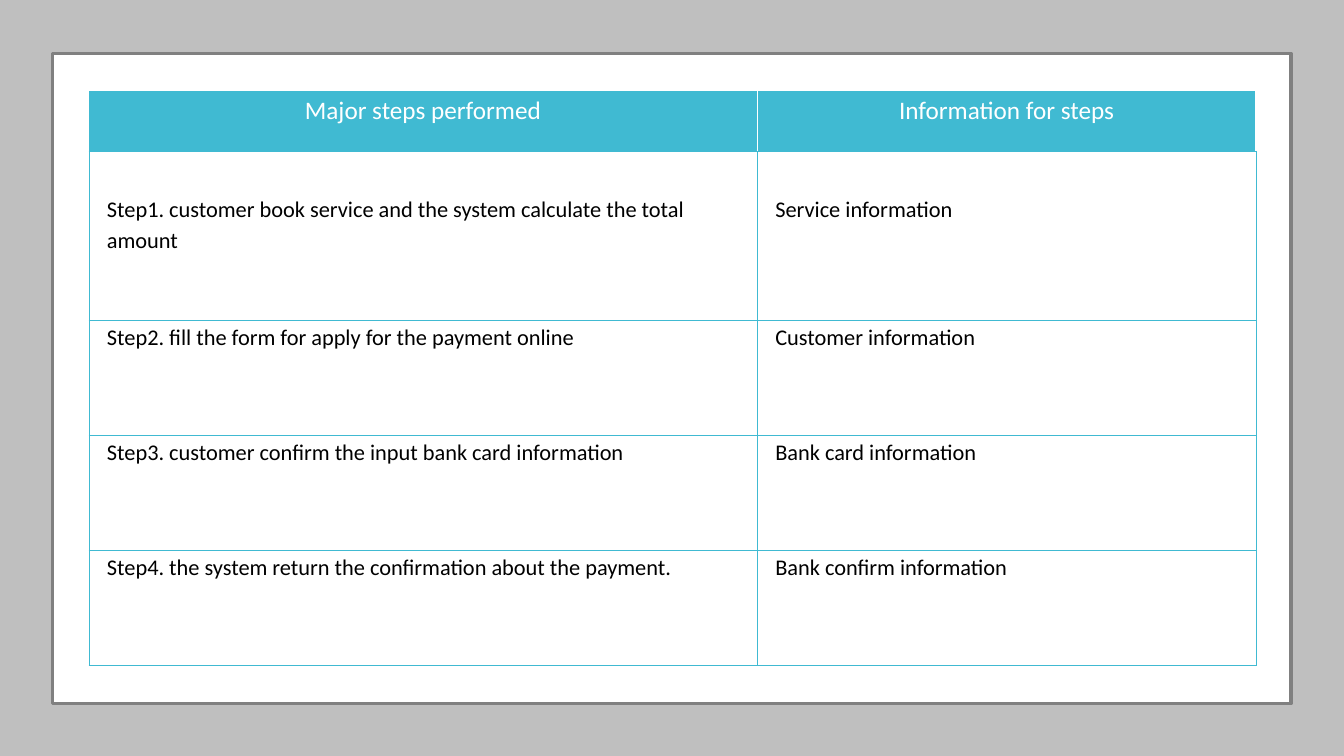
from dataclasses import dataclass

from lxml import etree
from pptx import Presentation
from pptx import util as u
from pptx.dml.color import RGBColor
from pptx.enum import shapes, text
from pptx.oxml import ns

COLOURS = {
    "backdrop": "BFBFBF",
    "frame": "808080",
    "accent": "40BAD2",
    "white": "FFFFFF",
    "ink": "000000",
}
FONT = "Calibri"
COLUMN_WIDTHS = (477.4, 356.4)


@dataclass
class Panel:
    left: float
    top: float
    width: float
    height: float
    fill: str
    line: str | None = None


@dataclass
class StepRow:
    cells: tuple[str, str]
    height: float = 82.2
    top_inset: float = 0
    header: bool = False


PANELS = [
    Panel(0, 0, 960, 540, "backdrop"),
    Panel(37.4, 38.2, 884.9, 464.4, "white", "frame"),
]

ROWS = [
    StepRow(("Major steps performed", "Information for steps"), 43.2, header=True),
    StepRow(("Step1. customer book service and the system calculate the total amount",
             "Service information"), 121, top_inset=29.3),
    StepRow(("Step2. fill the form for apply for the payment online",
             "Customer information")),
    StepRow(("Step3. customer confirm the input bank card information",
             "Bank card information")),
    StepRow(("Step4. the system return the confirmation about the payment.",
             "Bank confirm information")),
]


def colour(name: str) -> RGBColor:
    return RGBColor.from_string(COLOURS[name])


def draw_panel(page, panel: Panel) -> None:
    box = page.shapes.add_shape(
        shapes.MSO_SHAPE.RECTANGLE,
        u.Pt(panel.left), u.Pt(panel.top), u.Pt(panel.width), u.Pt(panel.height))
    box.shadow.inherit = False
    box.fill.solid()
    box.fill.fore_color.rgb = colour(panel.fill)
    if panel.line:
        box.line.color.rgb = colour(panel.line)
        box.line.width = u.Pt(2.5)
    else:
        box.line.fill.background()


def draw_border(cell, side: str, name: str, width: float) -> None:
    properties = cell._tc.get_or_add_tcPr()
    line = etree.SubElement(properties, ns.qn(f"a:ln{side}"), w=str(u.Pt(width)))
    fill = etree.SubElement(line, ns.qn("a:solidFill"))
    etree.SubElement(fill, ns.qn("a:srgbClr"), val=COLOURS[name])


def draw_cell(cell, wording: str, row: StepRow) -> None:
    # Borders come before the fill in the cell properties
    for side in "LRTB":
        if row.header and side != "B":
            draw_border(cell, side, "white", 1)
        else:
            draw_border(cell, side, "accent", 0.25)
    if row.header:
        cell.fill.solid()
        cell.fill.fore_color.rgb = colour("accent")
    else:
        cell.fill.background()

    cell.margin_left = cell.margin_right = u.Pt(13)
    cell.margin_top = u.Pt(row.top_inset)
    cell.margin_bottom = u.Pt(0)
    cell.text_frame.text = wording
    para = cell.text_frame.paragraphs[0]
    para.alignment = text.PP_ALIGN.CENTER if row.header else text.PP_ALIGN.LEFT
    para.line_spacing = 1.15
    para.space_after = u.Pt(10)
    for span in para.runs:
        span.font.name = FONT
        span.font.size = u.Pt(18 if row.header else 16)
        span.font.bold = False
        span.font.color.rgb = colour("white" if row.header else "ink")


def draw_table(page, rows: list[StepRow]) -> None:
    table = page.shapes.add_table(
        len(rows), len(COLUMN_WIDTHS), u.Pt(63.4), u.Pt(64.6),
        u.Pt(sum(COLUMN_WIDTHS)), u.Pt(sum(row.height for row in rows))).table
    table.horz_banding = False
    for column, width in zip(table.columns, COLUMN_WIDTHS):
        column.width = u.Pt(width)
    for index, row in enumerate(rows):
        table.rows[index].height = u.Pt(row.height)
        for cell, wording in zip(table.rows[index].cells, row.cells):
            draw_cell(cell, wording, row)


def main() -> None:
    deck = Presentation()
    deck.slide_width, deck.slide_height = u.Pt(960), u.Pt(540)
    page = deck.slides.add_slide(deck.slide_layouts[6])

    # Backdrop and framed white sheet
    for panel in PANELS:
        draw_panel(page, panel)

    # Payment steps
    draw_table(page, ROWS)
    deck.save("out.pptx")


if __name__ == "__main__":
    main()
